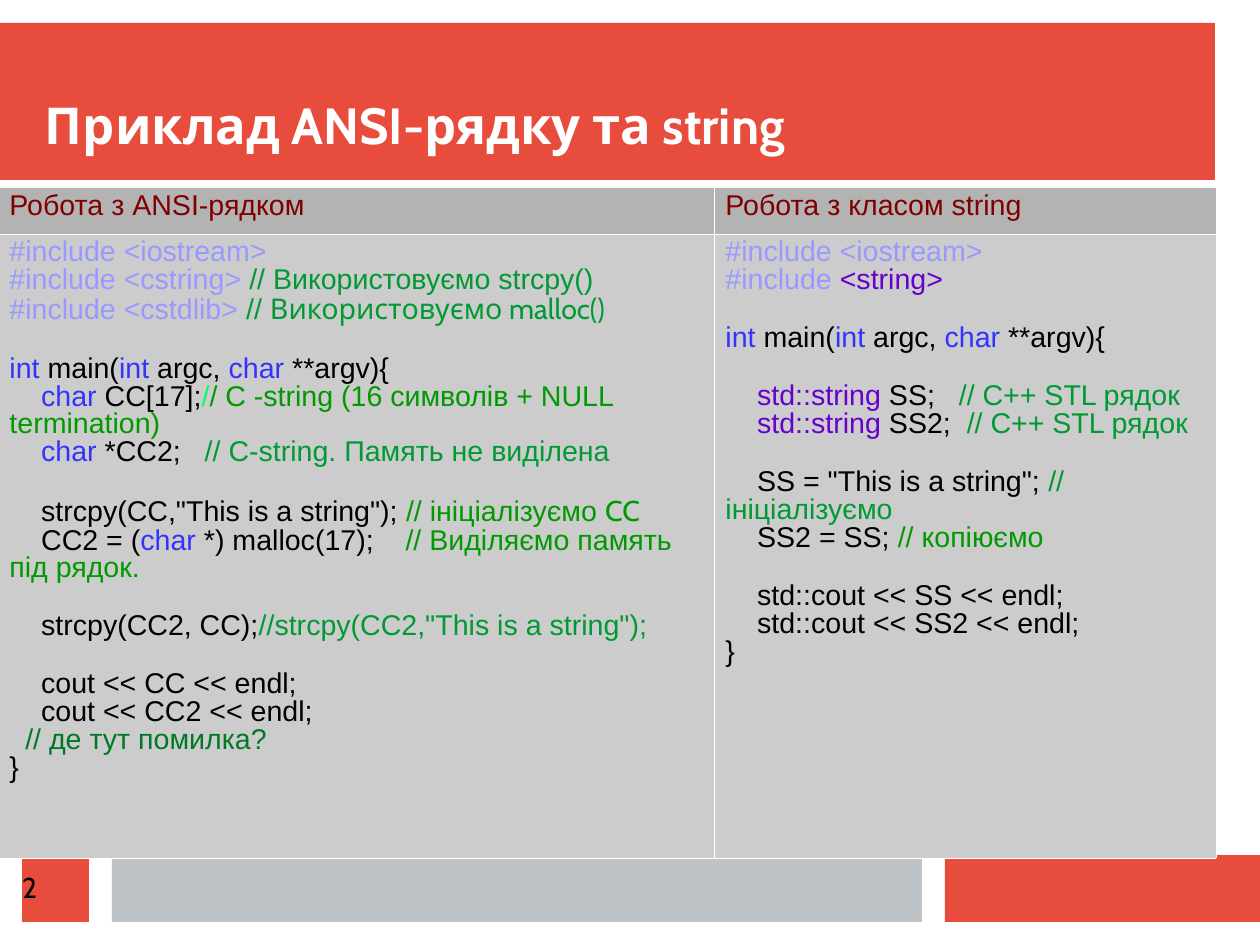
from pptx import Presentation
from pptx.dml.color import RGBColor
from pptx.enum.shapes import MSO_SHAPE
from pptx.enum.text import MSO_ANCHOR, MSO_AUTO_SIZE, PP_ALIGN
from pptx.oxml import parse_xml
from pptx.oxml.ns import nsdecls
from pptx.util import Pt

PX = 8000  # EMU in one px

COLOURS = {
    "red": "E74C3C",
    "silver": "BDC3C7",
    "white": "FFFFFF",
    "black": "000000",
    "heading": "800000",
    "heading_fill": "B3B3B3",
    "code_fill": "CCCCCC",
    "include": "9999FF",
    "keyword": "3333FF",
    "class": "6600CC",
    "note": "009933",
    "green": "009900",
    "slash": "00FF66",
    "question": "007826",
}
TITLE_FONT = "Cabin"
CODE_FONT = "Arial"
BLANK_LINE = 19  # points

MAIN_LINE = [("keyword", "int"), ("black", " main("), ("keyword", "int"),
             ("black", " argc, "), ("keyword", "char"), ("black", " **argv){")]

# Each line is a list of (colour, text[, font]); an empty list is a blank line.
ANSI_CODE = [
    [("include", "#include <iostream>")],
    [("include", "#include <cstring> "), ("note", "// Використовуємо strcpy()")],
    [("include", "#include <cstdlib> "), ("note", "// "),
     ("note", "Використовуємо malloc()", TITLE_FONT)],
    [],
    MAIN_LINE,
    [("keyword", "    char"), ("black", " CC[17];"), ("slash", "/"),
     ("green", "/ C -string (16 символів + NULL termination)")],
    [("keyword", "    char"), ("black", " *CC2;  "),
     ("note", " // C-string. Память не виділена")],
    [],
    [("black", '    strcpy(CC,"This is a string"); '),
     ("green", "// ініціалізуємо "), ("green", "CC", TITLE_FONT)],
    [("black", "    CC2 = ("), ("keyword", "char"), ("black", " *) malloc(17);   "),
     ("green", " // Виділяємо память під рядок.")],
    [],
    [("black", "    strcpy(CC2, CC);"), ("note", '//strcpy(CC2,"This is a string");')],
    [],
    [("black", "    cout << CC << endl;")],
    [("black", "    cout << CC2 << endl;")],
    [("question", "  // де тут помилка?")],
    [("black", "}")],
]

STRING_CODE = [
    [("include", "#include <iostream>")],
    [("include", "#include "), ("class", "<string>")],
    [],
    MAIN_LINE,
    [],
    [("class", "    std::string"), ("black", " SS;   "), ("note", "// C++ STL рядок")],
    [("class", "    std::string"), ("black", " SS2;  "), ("note", "// C++ STL рядок")],
    [],
    [("black", '    SS = "This is a string"; '), ("note", "// ініціалізуємо")],
    [("black", "    SS2 = SS; "), ("green", "// копіюємо")],
    [],
    [("black", "    std::cout << SS << endl;")],
    [("black", "    std::cout << SS2 << endl;")],
    [("black", "}")],
]


def rgb(colour):
    return RGBColor.from_string(COLOURS[colour])


def px(*lengths):
    return [length * PX for length in lengths]


def add_bar(slide, fill, *box):
    bar = slide.shapes.add_shape(MSO_SHAPE.RECTANGLE, *px(*box))
    bar.shadow.inherit = False
    bar.fill.solid()
    bar.fill.fore_color.rgb = rgb(fill)
    bar.line.fill.background()
    return bar


def write_label(shape, text, size, colour, anchor, bold=False):
    """Put one left-aligned line into a shape without insets."""
    frame = shape.text_frame
    frame.margin_left = frame.margin_right = 0
    frame.margin_top = frame.margin_bottom = 0
    frame.vertical_anchor = anchor
    frame.auto_size = MSO_AUTO_SIZE.NONE
    frame.text = text
    paragraph = frame.paragraphs[0]
    paragraph.alignment = PP_ALIGN.LEFT
    paragraph.line_spacing = 0.98
    font = paragraph.font
    font.name, font.size, font.bold = TITLE_FONT, Pt(size), bold
    font.color.rgb = rgb(colour)


def place_title(slide, text, *box):
    title = slide.shapes.title
    title.left, title.top, title.width, title.height = px(*box)
    write_label(title, text, 32, "white", MSO_ANCHOR.BOTTOM, bold=True)


def add_borders(cell):
    properties = cell._tc.get_or_add_tcPr()
    for side in ("lnL", "lnR", "lnT", "lnB"):
        properties.append(parse_xml(
            f'<a:{side} {nsdecls("a")} w="720"><a:solidFill>'
            f'<a:srgbClr val="{COLOURS["white"]}"/></a:solidFill></a:{side}>'))


def fill_cell(cell, fill, lines):
    add_borders(cell)
    cell.fill.solid()
    cell.fill.fore_color.rgb = rgb(fill)
    frame = cell.text_frame
    paragraph, after_blank = frame.paragraphs[0], False
    for number, line in enumerate(lines):
        if not line:
            after_blank = True
            continue
        if number:
            paragraph = frame.add_paragraph()
        paragraph.line_spacing = 0.87
        if after_blank:
            paragraph.space_before = Pt(BLANK_LINE)
            after_blank = False
        paragraph.font.name, paragraph.font.size = CODE_FONT, Pt(18)
        for colour, text, *fonts in line:
            run = paragraph.add_run()
            run.text = text
            run.font.color.rgb = rgb(colour)
            if fonts:
                run.font.name = fonts[0]


def add_code_table(slide, left, top, widths, heights, columns):
    """Add a table with a heading row above one row of code listings."""
    table = slide.shapes.add_table(
        len(heights), len(widths),
        *px(left, top, sum(widths), sum(heights))).table
    table.first_row = table.horz_banding = False
    for row, height in zip(table.rows, heights):
        row.height = height * PX
    for index, (width, (heading, code)) in enumerate(zip(widths, columns)):
        table.columns[index].width = width * PX
        fill_cell(table.cell(0, index), "heading_fill", [[("heading", heading)]])
        fill_cell(table.cell(1, index), "code_fill", code)


def main():
    presentation = Presentation()
    presentation.slide_width, presentation.slide_height = px(1260, 945)
    slide = presentation.slides.add_slide(presentation.slide_layouts[5])

    header = add_bar(slide, "red", 0, 23, 1215, 157)
    slide.shapes.title._element.addprevious(header._element)
    add_bar(slide, "red", 945, 855, 315, 67)
    add_bar(slide, "silver", 112, 855, 810, 67)
    page_number = add_bar(slide, "red", 22, 855, 67, 67)
    write_label(page_number, "2", 18, "black", MSO_ANCHOR.MIDDLE)

    place_title(slide, "Приклад ANSI-рядку та string", 45, 45, 1170, 112)
    add_code_table(slide, -2, 187, (716, 502), (47, 624), [
        ("Робота з ANSI-рядком", ANSI_CODE),
        ("Робота з класом string", STRING_CODE),
    ])
    presentation.save("out.pptx")


if __name__ == "__main__":
    main()
